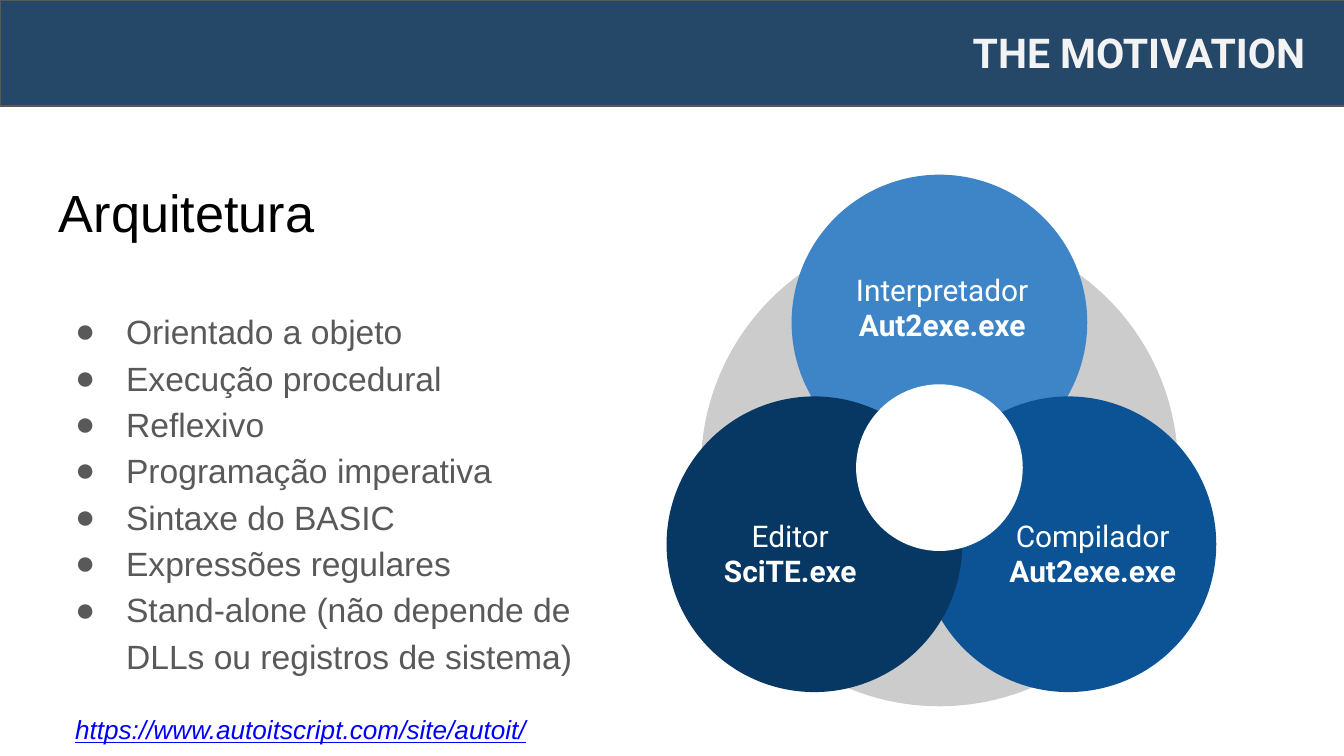
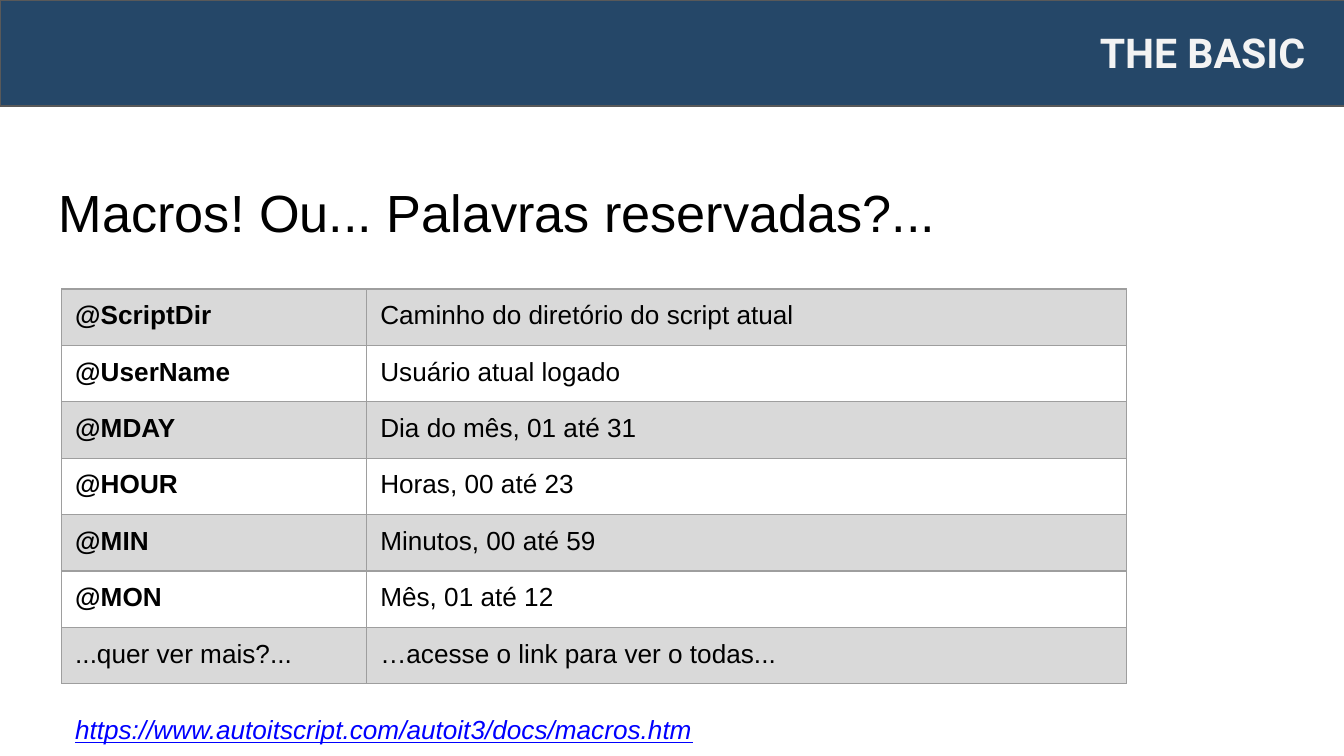
from dataclasses import dataclass

from lxml import etree
from pptx import Presentation
from pptx.dml.color import RGBColor
from pptx.enum.shapes import MSO_SHAPE
from pptx.enum.text import MSO_ANCHOR, PP_ALIGN
from pptx.oxml.ns import qn
from pptx.util import Inches, Pt

RECTANGLE, ELLIPSE = MSO_SHAPE.RECTANGLE, MSO_SHAPE.OVAL
TOP, MIDDLE = MSO_ANCHOR.TOP, MSO_ANCHOR.MIDDLE
LEFT, CENTER, RIGHT = PP_ALIGN.LEFT, PP_ALIGN.CENTER, PP_ALIGN.RIGHT


@dataclass(frozen=True)
class Theme:
    body_font: str = "Arial"
    accent_font: str = "Roboto"
    band: str = "254768"
    band_text: str = "F3F3F3"
    black: str = "000000"
    white: str = "FFFFFF"
    gray: str = "595959"
    ring: str = "CCCCCC"
    stripe: str = "D9D9D9"
    grid: str = "9E9E9E"
    link: str = "0000FF"
    sky: str = "3D85C6"
    blue: str = "0B5394"
    navy: str = "073763"
    title_size: int = 28
    section_size: int = 22
    bullet_size: int = 18
    label_size: int = 16
    small_size: int = 14
    line_width: float = 0.75
    inset: float = 0.1
    cell_inset: float = 0.09


class SlideBuilder:
    def __init__(self, deck, theme):
        self.deck = deck
        self.theme = theme
        self.page = None

    def start_page(self, section, title, title_width, url):
        """Add a slide with its band, section name, title and link."""
        theme = self.theme
        self.page = self.deck.slides.add_slide(self.deck.slide_layouts[6])
        self.text(title, 0.34, 1.24, title_width, 0.63, theme.title_size, theme.black)
        self.shape(RECTANGLE, 0, 0, 10.02, 0.79, theme.band, line=theme.gray)
        self.text(section, 2.73, 0.12, 7.08, 0.54, theme.section_size, theme.band_text,
                  font=theme.accent_font, align=RIGHT, anchor=MIDDLE, bold=True)
        self.text(url, 0.46, 5.21, 8.31, 0.43, theme.small_size, theme.link,
                  italic=True, underline=True)

    def shape(self, kind, left, top, width, height, fill, line=None, parent=None):
        shapes = (parent or self.page).shapes
        shape = shapes.add_shape(kind, Inches(left), Inches(top), Inches(width), Inches(height))
        shape.shadow.inherit = False
        shape.fill.solid()
        shape.fill.fore_color.rgb = RGBColor.from_string(fill)
        if line:
            shape.line.color.rgb = RGBColor.from_string(line)
            shape.line.width = Pt(self.theme.line_width)
        else:
            shape.line.fill.background()
        return shape

    def set_margins(self, target, vertical=None):
        target.margin_left = target.margin_right = Inches(self.theme.inset)
        target.margin_top = target.margin_bottom = Inches(vertical or self.theme.inset)

    def style_text(self, frame, size, color, font=None, align=LEFT, **emphasis):
        for para in frame.paragraphs:
            para.alignment = align
            for span in para.runs:
                span.font.name = font or self.theme.body_font
                span.font.size = Pt(size)
                span.font.color.rgb = RGBColor.from_string(color)
                for name, value in emphasis.items():
                    setattr(span.font, name, value)

    def text(self, content, left, top, width, height, size, color, anchor=TOP, **style):
        box = self.page.shapes.add_textbox(Inches(left), Inches(top), Inches(width), Inches(height))
        frame = box.text_frame
        frame.word_wrap = True
        frame.vertical_anchor = anchor
        self.set_margins(frame)
        frame.text = content
        self.style_text(frame, size, color, **style)
        return frame

    def bullets(self, items, left, top, width, height):
        theme = self.theme
        frame = self.text("\n".join(items), left, top, width, height,
                          theme.bullet_size, theme.gray)
        for para in frame.paragraphs:
            para.line_spacing = 1.15
            props = para._p.get_or_add_pPr()
            props.set("marL", str(Inches(0.5)))
            props.set("indent", str(Inches(-0.38)))
            color = etree.SubElement(props, qn("a:buClr"))
            etree.SubElement(color, qn("a:srgbClr"), val=theme.gray)
            etree.SubElement(props, qn("a:buFont"), typeface=theme.body_font)
            etree.SubElement(props, qn("a:buChar"), char="●")

    def circle(self, center_x, center_y, diameter, fill, parent=None):
        return self.shape(ELLIPSE, center_x - diameter / 2, center_y - diameter / 2,
                          diameter, diameter, fill, parent=parent)

    def labelled_circle(self, center, label_corner, fill, role, program):
        """Group a circle with a two-line label in the same colour."""
        theme = self.theme
        group = self.page.shapes.add_group_shape()
        self.circle(*center, 2.2, fill, parent=group)
        label = self.shape(RECTANGLE, *label_corner, 1.52, 0.71, fill, parent=group)
        frame = label.text_frame
        frame.word_wrap = True
        frame.vertical_anchor = MIDDLE
        self.set_margins(frame)
        frame.text = f"{role}\v{program}"
        self.style_text(frame, theme.label_size, theme.white, theme.accent_font, CENTER)
        frame.paragraphs[0].runs[-1].font.bold = True

    def cell_borders(self, cell):
        props = cell._tc.get_or_add_tcPr()
        for position, side in enumerate(("a:lnL", "a:lnR", "a:lnT", "a:lnB")):
            border = etree.Element(qn(side), w=str(Pt(self.theme.line_width)))
            fill = etree.SubElement(border, qn("a:solidFill"))
            etree.SubElement(fill, qn("a:srgbClr"), val=self.theme.grid)
            props.insert(position, border)

    def table(self, rows, left, top, column_widths, row_height):
        theme = self.theme
        table = self.page.shapes.add_table(
            len(rows), len(column_widths), Inches(left), Inches(top),
            Inches(sum(column_widths)), Inches(row_height * len(rows))).table
        table.first_row = table.horz_banding = False
        for column, width in zip(table.columns, column_widths):
            column.width = Inches(width)
        for row_index, values in enumerate(rows):
            for column_index, value in enumerate(values):
                cell = table.cell(row_index, column_index)
                self.set_margins(cell, theme.cell_inset)
                cell.text = value
                # Only the macro names are bold
                self.style_text(cell.text_frame, theme.small_size, theme.black,
                                bold=value.startswith("@"))
                if row_index % 2 == 0:
                    cell.fill.solid()
                    cell.fill.fore_color.rgb = RGBColor.from_string(theme.stripe)
                else:
                    cell.fill.background()
                self.cell_borders(cell)


def build_architecture(builder):
    theme = builder.theme
    builder.start_page("THE MOTIVATION", "Arquitetura", 4.66,
                       "https://www.autoitscript.com/site/autoit/")

    # Three overlapping parts around an open centre
    center_x, center_y = 6.985, 3.48
    center_x = round(center_x, 2)
    builder.circle(center_x, center_y, 3.55, theme.ring)
    parts = [
        ((center_x, 2.4), (6.25, 1.93), theme.sky, "Interpretador", "Aut2exe.exe"),
        ((7.95, 4.05), (7.37, 3.76), theme.blue, "Compilador", "Aut2exe.exe"),
        ((6.06, 4.05), (5.12, 3.76), theme.navy, "Editor", "SciTE.exe"),
    ]
    for part in parts:
        builder.labelled_circle(*part)
    builder.circle(center_x, center_y, 1.24, theme.white)

    # Language features
    builder.bullets([
        "Orientado a objeto",
        "Execução procedural",
        "Reflexivo",
        "Programação imperativa",
        "Sintaxe do BASIC",
        "Expressões regulares",
        "Stand-alone (não depende de DLLs ou registros de sistema)",
    ], 0.34, 2.17, 4.6, 2.82)


def build_macros(builder):
    builder.start_page("THE BASIC", "Macros! Ou... Palavras reservadas?...", 7.72,
                       "https://www.autoitscript.com/autoit3/docs/macros.htm")
    # Macro reference
    builder.table([
        ("@ScriptDir", "Caminho do diretório do script atual"),
        ("@UserName", "Usuário atual logado"),
        ("@MDAY", "Dia do mês, 01 até 31"),
        ("@HOUR", "Horas, 00 até 23"),
        ("@MIN", "Minutos, 00 até 59"),
        ("@MON", "Mês, 01 até 12"),
        ("...quer ver mais?...", "…acesse o link para ver o todas..."),
    ], 0.46, 2.15, (2.27, 5.65), 0.42)


def main():
    deck = Presentation()
    # Widescreen, 16:9
    deck.slide_width = Inches(10)
    deck.slide_height = deck.slide_width * 9 // 16
    builder = SlideBuilder(deck, Theme())
    build_architecture(builder)
    build_macros(builder)
    deck.save("out.pptx")


if __name__ == "__main__":
    main()
